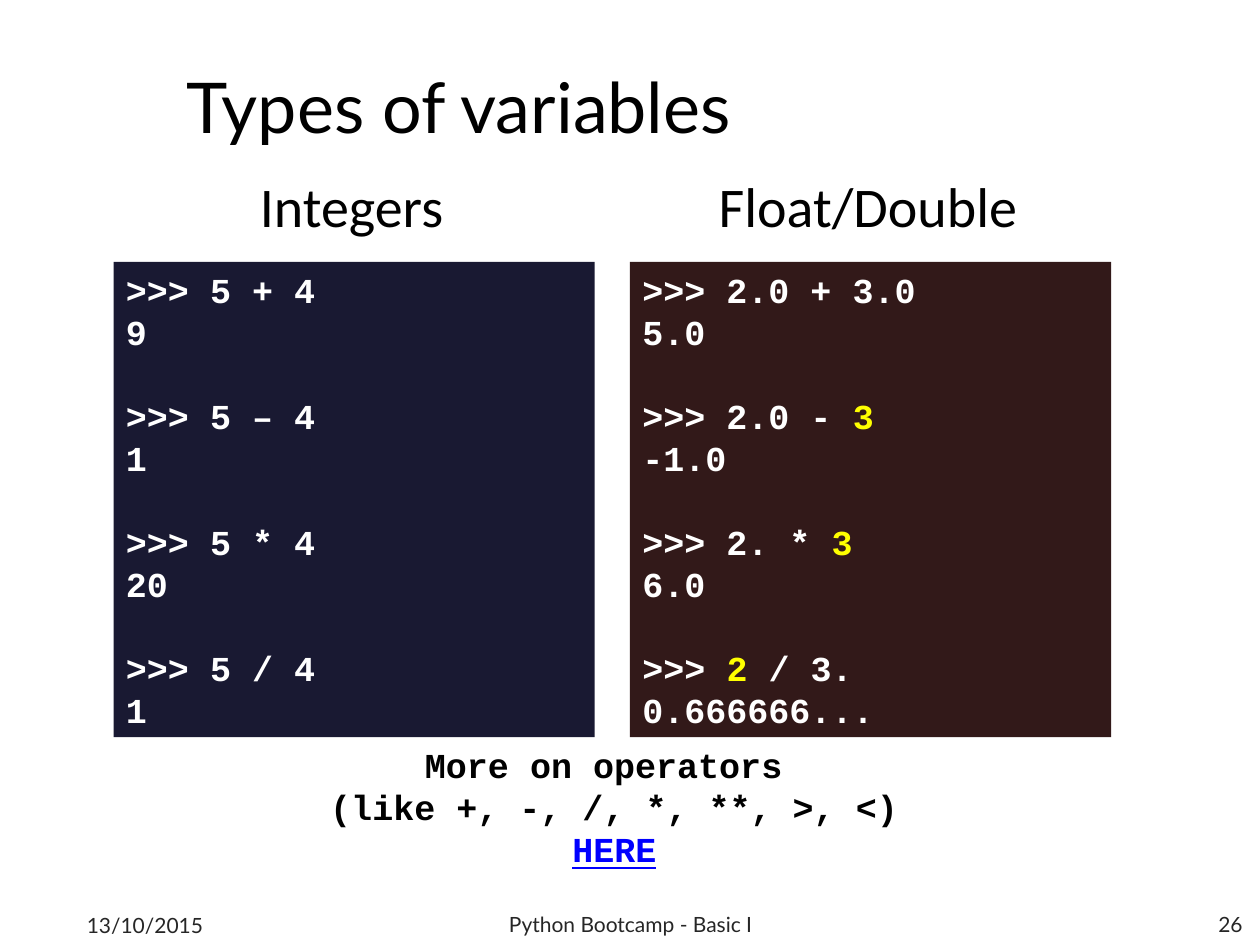
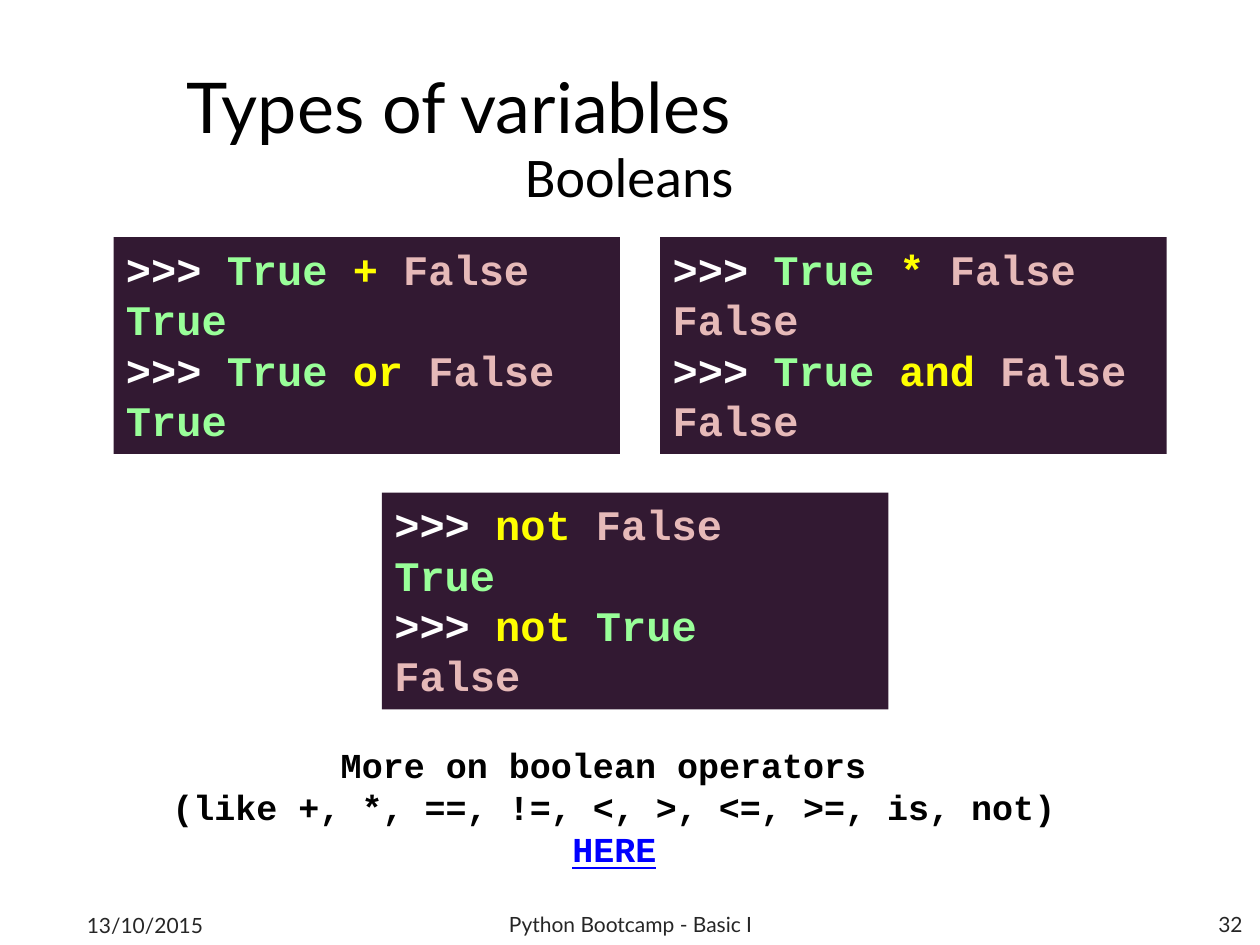
from itertools import groupby

from pptx import Presentation
from pptx.dml.color import RGBColor
from pptx.enum.shapes import MSO_SHAPE
from pptx.enum.text import MSO_ANCHOR, PP_ALIGN
from pptx.util import Cm, Pt

# Colours
BLACK = RGBColor(0x00, 0x00, 0x00)
WHITE = RGBColor(0xFF, 0xFF, 0xFF)
FOOTER_GREY = RGBColor(0x26, 0x26, 0x26)
LINK_BLUE = RGBColor(0x00, 0x00, 0xFF)
NAVY = RGBColor(0x19, 0x19, 0x32)
MAROON = RGBColor(0x32, 0x19, 0x19)
PURPLE = RGBColor(0x32, 0x19, 0x32)
YELLOW = RGBColor(0xFF, 0xFF, 0x00)
GREEN = RGBColor(0x99, 0xFF, 0x99)
PINK = RGBColor(0xE6, 0xB9, 0xB8)

# Words that stand out in the code
MIXED_INTEGERS = {"2": YELLOW, "3": YELLOW}
BOOLEAN_WORDS = {"True": GREEN, "False": PINK}
BOOLEAN_WORDS.update(dict.fromkeys(["+", "*", "or", "and", "not"], YELLOW))

TITLE_FONT, HEADING_FONT, CODE_FONT = "Lato", "Calibri", "Courier New"
LINE_HEIGHT = 1.2
LEFT_EDGE = 2.29


class Deck:
    """Holds the shared style and the slide being filled."""

    def __init__(self):
        self.presentation = Presentation()
        self.presentation.slide_width = Cm(25.4)
        self.presentation.slide_height = Cm(19.05)
        self.slide = None

    def start_slide(self, title, number):
        layout = self.presentation.slide_layouts[5]
        self.slide = self.presentation.slides.add_slide(layout)
        heading = self.slide.shapes.title
        heading.left, heading.top = Cm(3.51), Cm(1.12)
        heading.width, heading.height = Cm(20.62), Cm(2.01)
        heading.text_frame.vertical_anchor = MSO_ANCHOR.MIDDLE
        heading.text_frame.text = title
        self.format(heading.text_frame.paragraphs[0], TITLE_FONT, 40, BLACK, PP_ALIGN.LEFT)
        self.footer("13/10/2015", 1.5, 18.14, 5.92, PP_ALIGN.LEFT)
        self.footer("Python Bootcamp - Basic I", 8.69, 18.11, 8.05, PP_ALIGN.CENTER)
        self.footer(str(number), 19.38, 18.11, 5.92, PP_ALIGN.RIGHT)

    def format(self, paragraph, font, size, color, align):
        paragraph.alignment = align
        paragraph.font.name = font
        paragraph.font.size = Pt(size)
        paragraph.font.color.rgb = color

    def format_code(self, paragraph, size, color, align):
        self.format(paragraph, CODE_FONT, size, color, align)
        paragraph.font.bold = True
        paragraph.line_spacing = Pt(size * LINE_HEIGHT)

    def text_box(self, lines, left, top, width, height):
        box = self.slide.shapes.add_textbox(Cm(left), Cm(top), Cm(width), Cm(height))
        box.text_frame.word_wrap = True
        box.text_frame.text = "\n".join(lines)
        return box.text_frame

    def footer(self, text, left, top, width, align):
        frame = self.text_box([text], left, top, width, 1.02)
        frame.vertical_anchor = MSO_ANCHOR.MIDDLE
        self.format(frame.paragraphs[0], TITLE_FONT, 12, FOOTER_GREY, align)

    def heading(self, text, left, top, width):
        frame = self.text_box([text], left, top, width, 2.01)
        self.format(frame.paragraphs[0], HEADING_FONT, 32, BLACK, PP_ALIGN.CENTER)

    def more_note(self, *lines):
        frame = self.text_box([*lines, "HERE"], LEFT_EDGE, 14.86, 20.19, 2.82)
        for paragraph in frame.paragraphs:
            self.format_code(paragraph, 20, BLACK, PP_ALIGN.CENTER)
        here = frame.paragraphs[-1].font
        here.color.rgb = LINK_BLUE
        here.underline = True

    def console(self, exchanges, box, fill, size, highlights, gap=0):
        """Draw a code panel of (input, output) pairs, gap points apart."""
        panel = self.slide.shapes.add_shape(MSO_SHAPE.RECTANGLE, *map(Cm, box))
        panel.shadow.inherit = False
        panel.fill.solid()
        panel.fill.fore_color.rgb = fill
        panel.line.fill.background()
        frame = panel.text_frame
        frame.word_wrap = True
        frame.vertical_anchor = MSO_ANCHOR.TOP
        lines = [line for entry, result in exchanges for line in (f">>> {entry}", result)]
        for index, line in enumerate(lines):
            paragraph = frame.add_paragraph() if index else frame.paragraphs[0]
            self.format_code(paragraph, size, WHITE, PP_ALIGN.LEFT)
            if index and index % 2 == 0:
                paragraph.space_before = Pt(gap)
            self.add_code(paragraph, line, highlights)

    def add_code(self, paragraph, line, highlights):
        words = line.split(" ")
        spaced = [word + " " for word in words[:-1]] + words[-1:]
        for color, group in groupby(spaced, lambda word: highlights.get(word.strip(), WHITE)):
            run = paragraph.add_run()
            run.text = "".join(group)
            if color != WHITE:
                run.font.color.rgb = color


def add_numbers(deck):
    deck.start_slide("Types of variables", 26)
    integers = [("5 + 4", "9"), ("5 – 4", "1"), ("5 * 4", "20"), ("5 / 4", "1")]
    floats = [("2.0 + 3.0", "5.0"), ("2.0 - 3", "-1.0"),
              ("2. * 3", "6.0"), ("2 / 3.", "0.666666...")]
    columns = [("Integers", integers, LEFT_EDGE, NAVY, {}),
               ("Float/Double", floats, 12.7, MAROON, MIXED_INTEGERS)]
    for name, exchanges, left, fill, highlights in columns:
        deck.heading(name, left, 3.33, 9.6)
        deck.console(exchanges, (left, 5.28, 9.7, 9.58), fill, 20, highlights,
                     gap=20 * LINE_HEIGHT)
    deck.more_note("More on operators ", "(like +, -, /, *, **, >, <)")


def add_booleans(deck):
    deck.start_slide("Types of variables", 32)
    deck.heading("Booleans", 0.69, 2.72, 24)
    either = [("True + False", "True"), ("True or False", "True")]
    both = [("True * False", "False"), ("True and False", "False")]
    negation = [("not False", "True"), ("not True", "False")]
    for exchanges, left, top in [(either, LEFT_EDGE, 4.78), (both, 13.31, 4.78),
                                 (negation, 7.7, 9.93)]:
        deck.console(exchanges, (left, top, 10.21, 4.37), PURPLE, 24, BOOLEAN_WORDS)
    deck.more_note("More on boolean operators ",
                   "(like +, *, ==, !=, <, >, <=, >=, is, not)")


def main():
    deck = Deck()
    add_numbers(deck)
    add_booleans(deck)
    deck.presentation.save("out.pptx")


if __name__ == "__main__":
    main()
